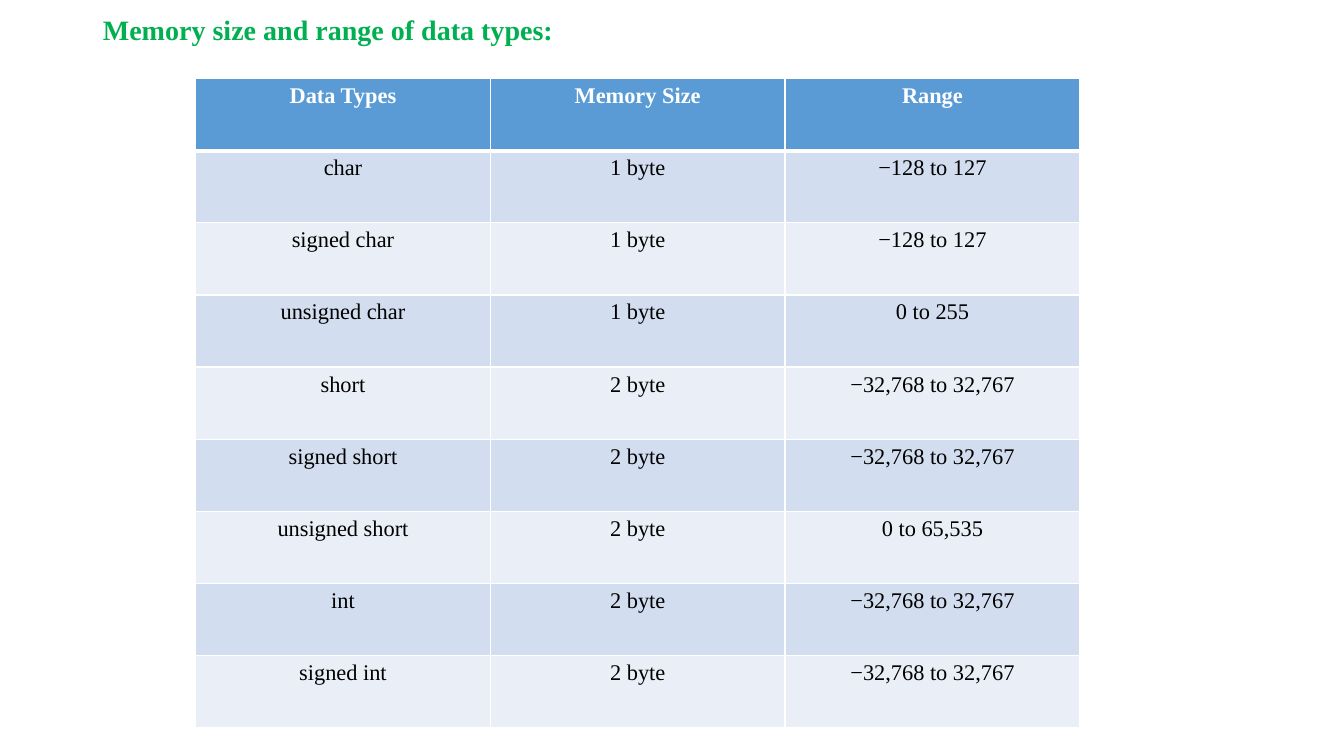
from pptx import Presentation
from pptx.dml.color import RGBColor
from pptx.enum.text import MSO_ANCHOR, PP_ALIGN
from pptx.oxml import parse_xml
from pptx.oxml.ns import nsdecls
from pptx.util import Inches, Pt

TOP = MSO_ANCHOR.TOP
LEFT, CENTER = PP_ALIGN.LEFT, PP_ALIGN.CENTER
TITLE_ONLY = 5
FONT = "Times New Roman"
COLORS = {
    "title": "00B050",
    "head": "5B9BD5",
    "odd": "D2DEEF",
    "even": "EAEFF7",
    "white": "FFFFFF",
    "black": "000000",
}
SHORT = "−32,768 to 32,767"
ROWS = [
    ("Data Types", "Memory Size", "Range"),
    ("char", "1 byte", "−128 to 127"),
    ("signed char", "1 byte", "−128 to 127"),
    ("unsigned char", "1 byte", "0 to 255"),
    ("short", "2 byte", SHORT),
    ("signed short", "2 byte", SHORT),
    ("unsigned short", "2 byte", "0 to 65,535"),
    ("int", "2 byte", SHORT),
    ("signed int", "2 byte", SHORT),
]


def color(name):
    return RGBColor.from_string(COLORS[name])


def style(para, size, tint, bold, align):
    para.alignment = align
    font = para.font
    font.name, font.size, font.bold = FONT, Pt(size), bold
    font.color.rgb = color(tint)


def add_title(slide, text):
    title = slide.shapes.title
    title.left, title.top = Inches(0.92), Inches(0.11)
    title.width, title.height = Inches(11.5), Inches(0.5)
    frame = title.text_frame
    frame.text = text
    frame.word_wrap = True
    frame.vertical_anchor = TOP
    para = frame.paragraphs[0]
    para.line_spacing = 0.9
    style(para, 20, "title", True, LEFT)


def set_edges(cell, widths):
    """Draw white cell borders; widths maps side to points."""
    props = cell._tc.get_or_add_tcPr()
    for spot, (side, width) in enumerate(widths.items()):
        props.insert(spot, parse_xml(
            f'<a:ln{side} {nsdecls("a")} w="{Pt(width)}"><a:solidFill>'
            f'<a:srgbClr val="{COLORS["white"]}"/></a:solidFill></a:ln{side}>'))


def fill_cell(cell, text, row):
    head = row == 0
    cell.text = text
    style(cell.text_frame.paragraphs[0], 16,
          "white" if head else "black", head, CENTER)
    cell.fill.solid()
    cell.fill.fore_color.rgb = color(
        "head" if head else "odd" if row % 2 else "even")
    # A thick rule parts the header from the body
    set_edges(cell, {"L": 1, "R": 1, "T": 3 if row == 1 else 1,
                     "B": 3 if head else 1})


def add_grid(slide, rows):
    frame = slide.shapes.add_table(
        len(rows), len(rows[0]),
        Inches(1.94), Inches(0.78), Inches(8.77), Inches(6.44))
    for r, row in enumerate(rows):
        for c, text in enumerate(row):
            fill_cell(frame.table.cell(r, c), text, r)


def main():
    prs = Presentation()
    prs.slide_width, prs.slide_height = Inches(13.33), Inches(7.5)
    slide = prs.slides.add_slide(prs.slide_layouts[TITLE_ONLY])
    # Heading
    add_title(slide, "Memory size and range of data types:")
    # Data type table
    add_grid(slide, ROWS)
    prs.save("out.pptx")


if __name__ == "__main__":
    main()
